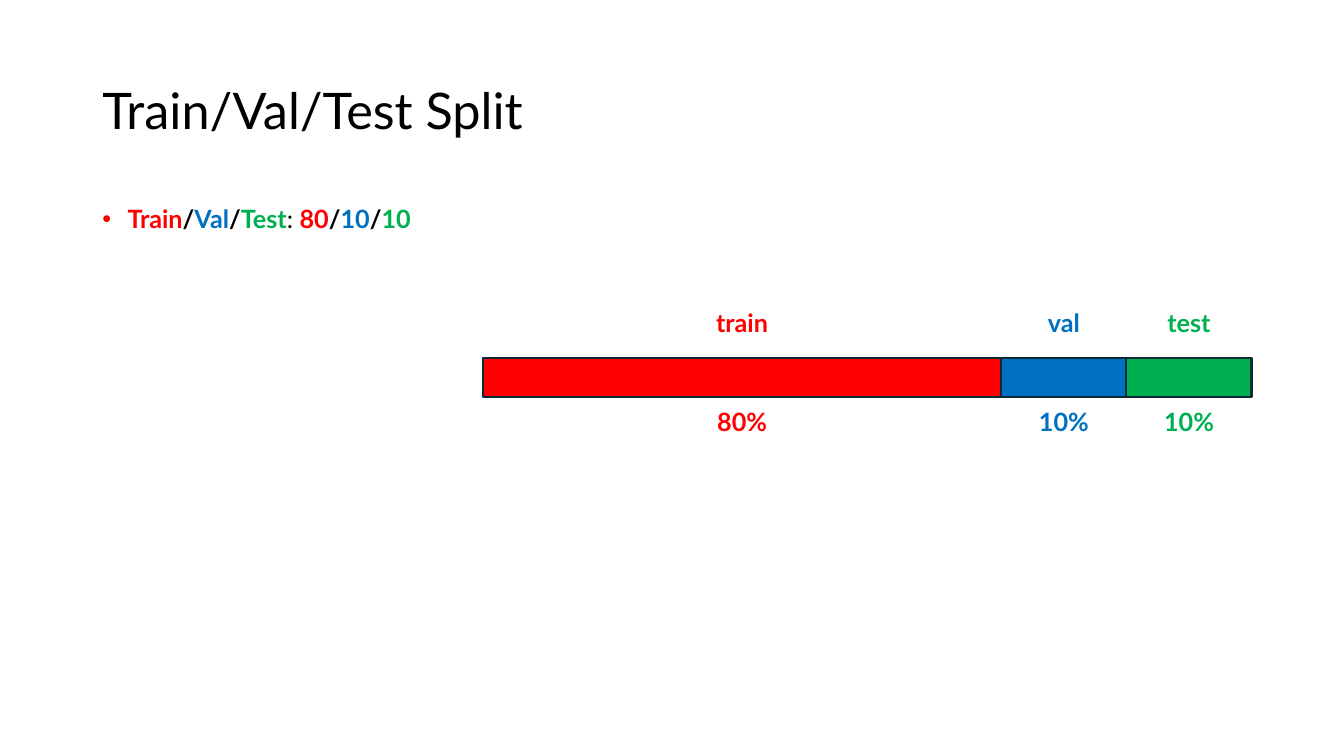
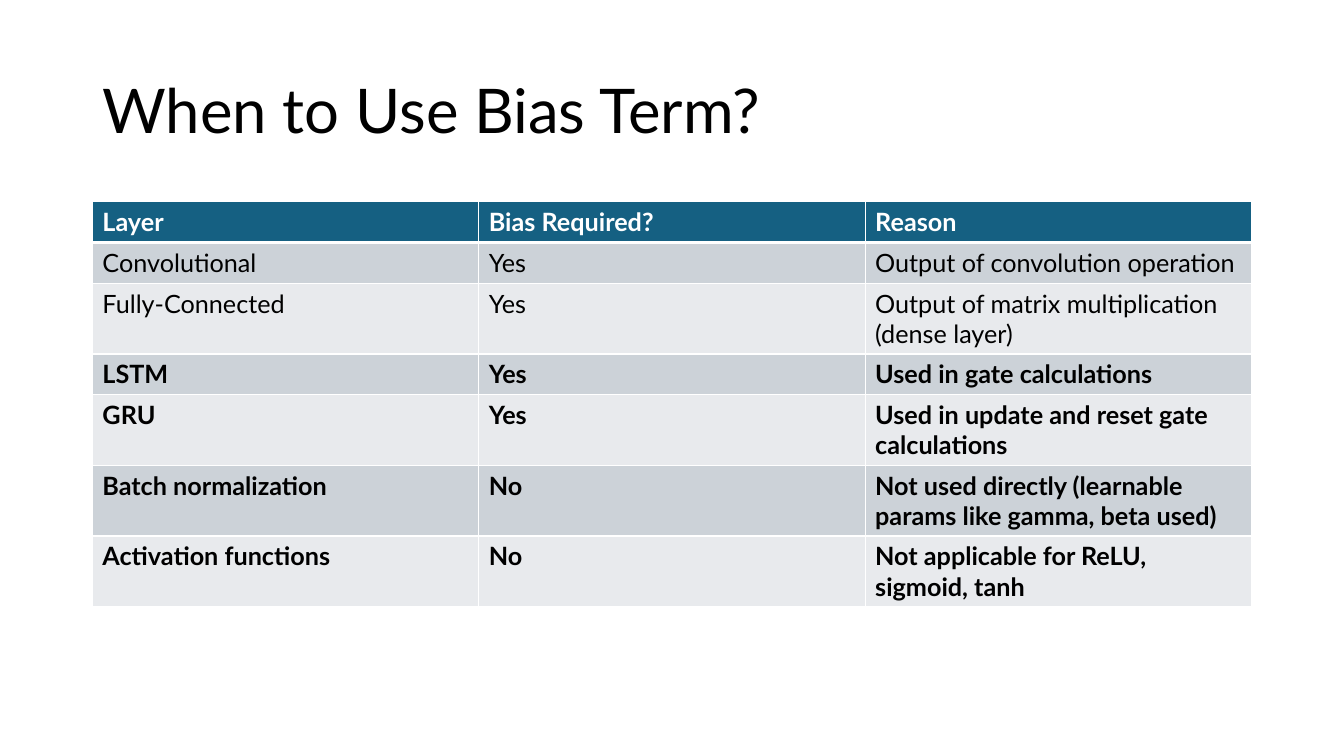
from lxml.etree import SubElement
from pptx import Presentation
from pptx.dml.color import RGBColor
from pptx.enum.shapes import MSO_SHAPE as Preset
from pptx.enum.text import MSO_ANCHOR as Anchor, MSO_AUTO_SIZE as AutoSize, PP_ALIGN as Align
from pptx.oxml.ns import qn
from pptx.util import Inches, Pt

UNIT = Inches(1) / 12
COLUMNS, ROWS = 160, 90
MARGIN, CONTENT_WIDTH, CONTENT_TOP = 11, 138, 24

BLACK, WHITE = "000000", "FFFFFF"
TRAIN, VAL, TEST = "FF0000", "0070C0", "00B050"
OUTLINE, HEADER = "092A39", "156082"
BANDS = ("CCD2D8", "E8EAED")


def color(code):
    return RGBColor.from_string(code)


def grid(*lengths):
    return [round(length * UNIT) for length in lengths]


class Deck:
    font_name = "Lato"
    text_size = 18

    def __init__(self):
        self.file = Presentation()
        self.file.slide_width, self.file.slide_height = grid(COLUMNS, ROWS)
        self.slide = None

    def add_slide(self, heading, size):
        self.slide = self.file.slides.add_slide(self.file.slide_layouts[6])
        self.text(MARGIN, 4.8, CONTENT_WIDTH, 17.4, [(heading, BLACK, False)], size=size,
                  frame_format={"vertical_anchor": Anchor.MIDDLE},
                  paragraph_format={"line_spacing": 0.9})

    def add_runs(self, paragraph, runs, size=None):
        for words, code, bold in runs:
            run = paragraph.add_run()
            run.text = words
            run.font.color.rgb = color(code)
            look = {"name": self.font_name, "size": Pt(size or self.text_size), "bold": bold}
            for key, value in look.items():
                setattr(run.font, key, value)

    def text(self, left, top, width, height, runs, size=None, bullet=False,
             frame_format=None, paragraph_format=None):
        frame = self.slide.shapes.add_textbox(*grid(left, top, width, height)).text_frame
        paragraph = frame.paragraphs[0]
        if bullet:
            self.bullet(paragraph)
        formats = ((frame, {"word_wrap": True, **(frame_format or {})}),
                   (paragraph, paragraph_format or {}))
        for target, values in formats:
            for key, value in values.items():
                setattr(target, key, value)
        self.add_runs(paragraph, runs, size)

    def bullet(self, paragraph):
        properties = paragraph._p.get_or_add_pPr()
        indent = round(3 * UNIT)
        properties.set("marL", str(indent))
        properties.set("indent", str(-indent))
        SubElement(properties, qn("a:buFont"), typeface="Arial")
        SubElement(properties, qn("a:buChar"), char="•")

    def label(self, center, top, width, words, code):
        self.text(center - width / 2, top, width, 4.8, [(words, code, True)],
                  frame_format={"auto_size": AutoSize.SHAPE_TO_FIT_TEXT},
                  paragraph_format={"alignment": Align.CENTER})

    def bar(self, left, top, width, height, code):
        bar = self.slide.shapes.add_shape(Preset.RECTANGLE, *grid(left, top, width, height))
        bar.shadow.inherit = False
        bar.fill.solid()
        bar.fill.fore_color.rgb = color(code)
        bar.line.color.rgb = color(OUTLINE)
        bar.line.width = Pt(1.5)

    def borders(self, cell, top, bottom):
        properties = cell._tc.get_or_add_tcPr()
        for side, points in (("L", 1), ("R", 1), ("T", top), ("B", bottom)):
            edge = SubElement(properties, qn(f"a:ln{side}"), w=str(Pt(points)))
            SubElement(SubElement(edge, qn("a:solidFill")), qn("a:srgbClr"), val=WHITE)

    def table(self, left, top, width, row_height, rows, bold_from):
        frame = self.slide.shapes.add_table(
            len(rows), len(rows[0]), *grid(left, top, width, row_height * len(rows)))
        table = frame.table
        table.horz_banding = False
        for index, entries in enumerate(rows):
            is_header = index == 0
            fill = HEADER if is_header else BANDS[(index - 1) % 2]
            ink = WHITE if is_header else BLACK
            bold = is_header or index >= bold_from
            for column, words in enumerate(entries):
                cell = table.cell(index, column)
                self.borders(cell, 3 if index == 1 else 1, 3 if is_header else 1)
                cell.fill.solid()
                cell.fill.fore_color.rgb = color(fill)
                self.add_runs(cell.text_frame.paragraphs[0], [(words, ink, bold)])


def split_slide(deck):
    deck.add_slide("Train/Val/Test Split", 36)
    slash = ("/", BLACK, True)
    deck.text(MARGIN, CONTENT_TOP, CONTENT_WIDTH / 2, 57.1, [
        ("Train", TRAIN, True), slash, ("Val", VAL, True), slash, ("Test", TEST, True),
        (": ", BLACK, False),
        ("80", TRAIN, True), slash, ("10", VAL, True), slash, ("10", TEST, True),
    ], bullet=True, paragraph_format={"line_spacing": 0.9})

    parts = (("train", "80%", TRAIN, 61.7, 55.6),
             ("val", "10%", VAL, 14.9, 10.3),
             ("test", "10%", TEST, 14.9, 10.3))
    left = 57.5
    for name, share, code, width, label_width in parts:
        deck.bar(left, 42.6, width, 4.7, code)
        center = left + width / 2
        deck.label(center, 36, label_width, name, code)
        deck.label(center, 47.8, label_width, share, code)
        left += width


def bias_slide(deck):
    deck.add_slide("When to Use Bias Term?", 44)
    deck.table(MARGIN, CONTENT_TOP, CONTENT_WIDTH, 4.87, (
        ("Layer", "Bias Required?", "Reason"),
        ("Convolutional", "Yes", "Output of convolution operation"),
        ("Fully-Connected", "Yes", "Output of matrix multiplication (dense layer)"),
        ("LSTM", "Yes", "Used in gate calculations"),
        ("GRU", "Yes", "Used in update and reset gate calculations"),
        ("Batch normalization", "No",
         "Not used directly (learnable params like gamma, beta used)"),
        ("Activation functions", "No", "Not applicable for ReLU, sigmoid, tanh"),
    ), bold_from=3)


def main():
    deck = Deck()
    split_slide(deck)
    bias_slide(deck)
    deck.file.save("out.pptx")


if __name__ == "__main__":
    main()
